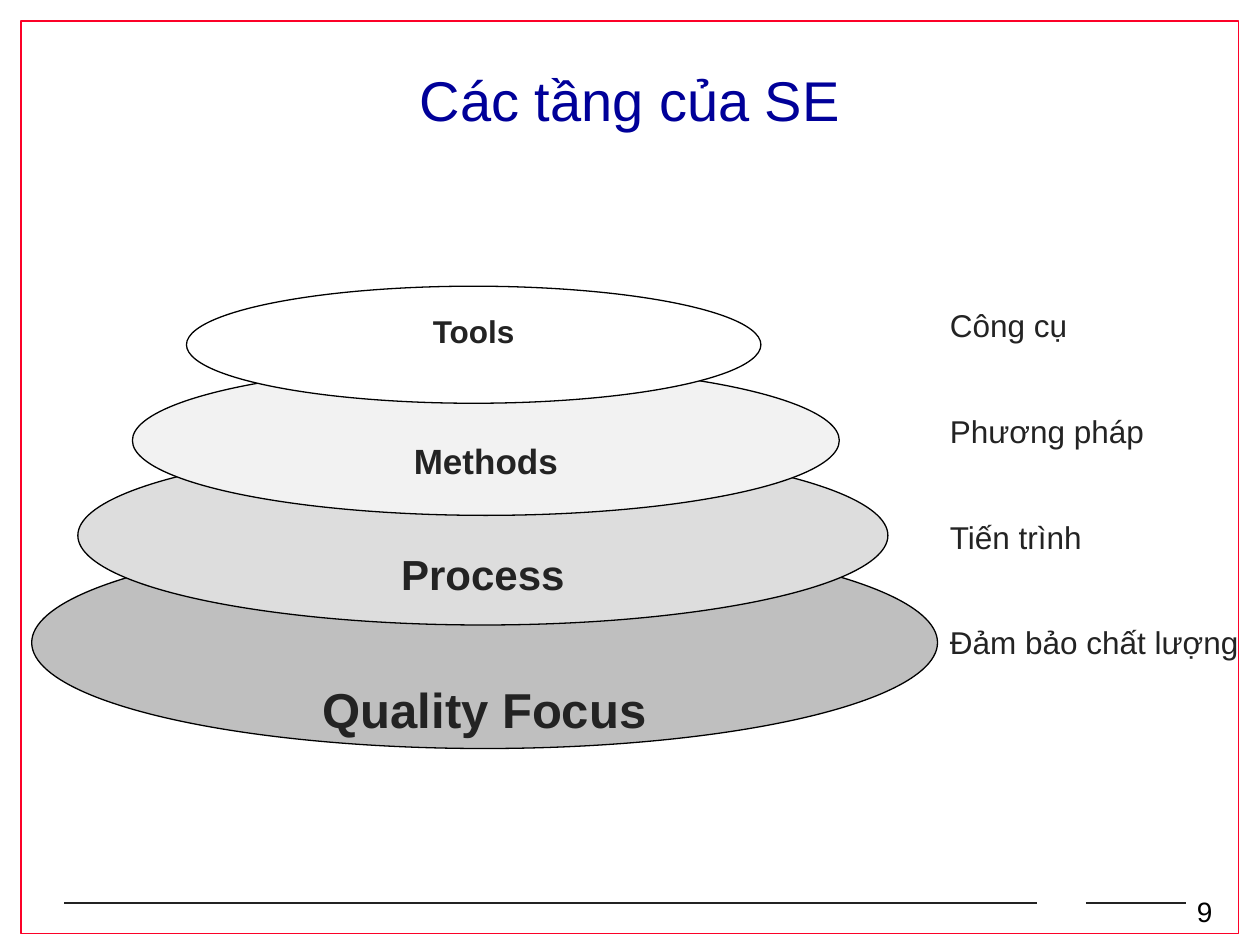
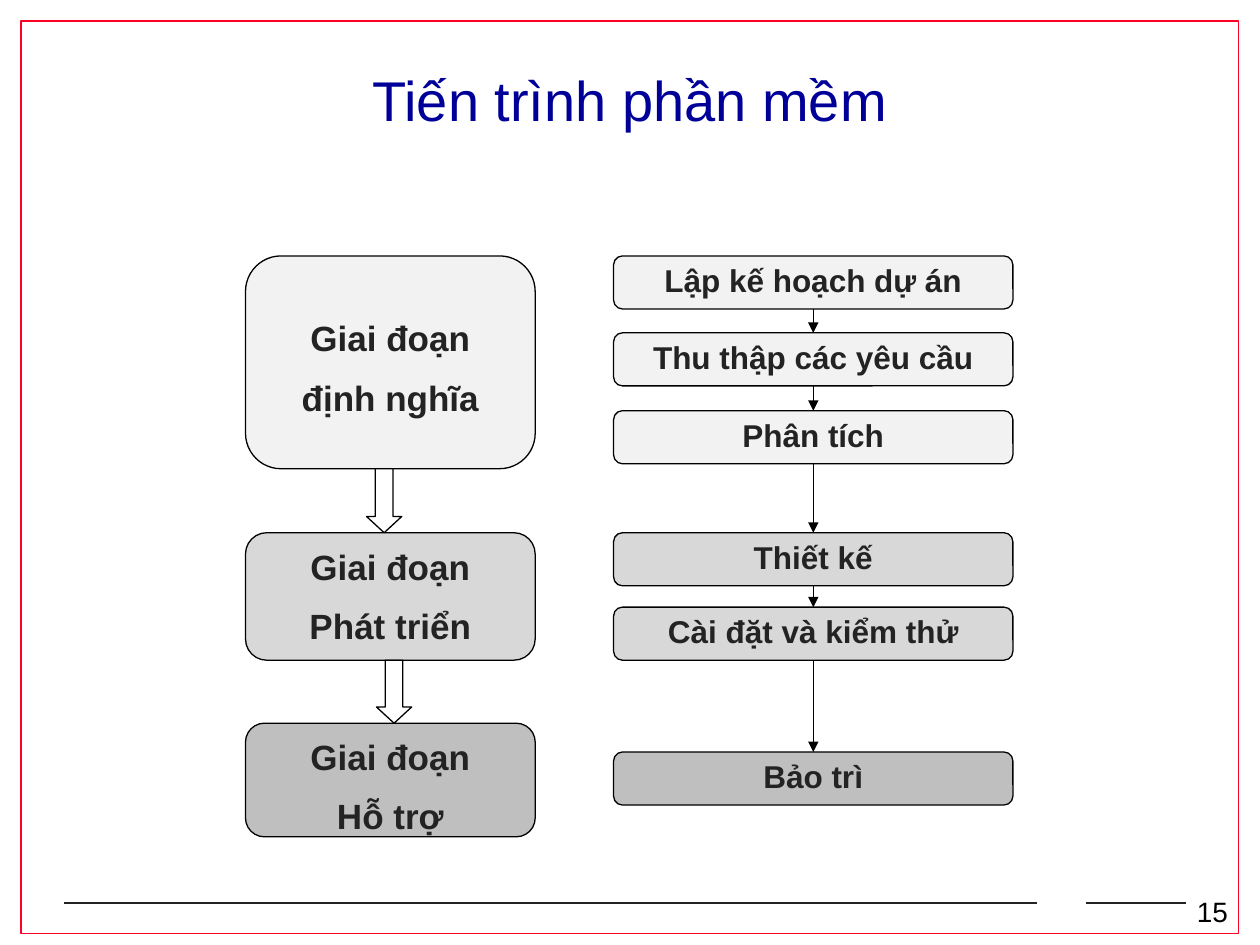
"""Build two slides on the layers and the process of software engineering."""
from itertools import pairwise

from lxml.etree import SubElement
from pptx import Presentation
from pptx.dml.color import RGBColor
from pptx.enum.shapes import MSO_CONNECTOR, MSO_SHAPE
from pptx.enum.text import MSO_ANCHOR, PP_ALIGN
from pptx.oxml.ns import qn
from pptx.util import Cm, Pt

FONT = "Arial"
INK, BLACK, WHITE = "232323", "000000", "FFFFFF"
NAVY, RED = "000099", "FC0128"
PALE, LIGHT, MID, DARK = "F2F2F2", "DDDDDD", "D8D8D8", "BFBFBF"
rgb = RGBColor.from_string


def add_box(s, kind, x, y, w, h, fill, line=BLACK, weight=0.75, lines=(), size=18, top=0.13, side=0.25):
    """Add an outlined shape with optional bold centred lines of text."""
    sp = s.shapes.add_shape(kind, Cm(x), Cm(y), Cm(w), Cm(h))
    sp.shadow.inherit = False
    if fill:
        sp.fill.solid()
        sp.fill.fore_color.rgb = rgb(fill)
    else:
        sp.fill.background()
    sp.line.color.rgb = rgb(line)
    sp.line.width = Pt(weight)
    tf = sp.text_frame
    tf.word_wrap = True
    tf.vertical_anchor = MSO_ANCHOR.TOP
    tf.margin_left = tf.margin_right = Cm(side)
    tf.margin_top, tf.margin_bottom = Cm(top), Cm(0)
    for i, text in enumerate(lines):
        p = tf.add_paragraph() if i else tf.paragraphs[0]
        p.text = text
        p.alignment = PP_ALIGN.CENTER
        p.space_after = Pt(10)
        p.font.name, p.font.size, p.font.bold = FONT, Pt(size), True
        p.font.color.rgb = rgb(INK)
    return sp


def add_line(s, x1, y1, x2, y2, color, weight, arrow=False):
    """Add a straight connector, with an arrowhead at its end if asked."""
    c = s.shapes.add_connector(MSO_CONNECTOR.STRAIGHT, Cm(x1), Cm(y1), Cm(x2), Cm(y2))
    c.line.color.rgb = rgb(color)
    c.line.width = Pt(weight)
    if arrow:
        SubElement(c.line._get_or_add_ln(), qn("a:tailEnd"), type="triangle")
    SubElement(c._element.spPr, qn("a:effectLst"))
    return c


prs = Presentation()
prs.slide_width, prs.slide_height = Cm(25.4), Cm(19.05)

slides = []
for title, number in (("Các tầng của SE", 9), ("Tiến trình phần mềm", 15)):
    s = prs.slides.add_slide(prs.slide_layouts[5])
    slides.append(s)

    add_box(s, MSO_SHAPE.RECTANGLE, 0.43, 0.43, 24.54, 18.39, None, RED, 1)
    for x1, x2 in ((1.3, 20.9), (21.89, 23.9)):
        add_line(s, x1, 18.21, x2, 18.21, INK, 1)

    sp = s.shapes.add_textbox(Cm(23.88), Cm(17.91), Cm(1.3), Cm(0.91))
    p = sp.text_frame.paragraphs[0]
    p.text = str(number)
    p.font.name, p.font.size = FONT, Pt(16)
    p.font.color.rgb = rgb(BLACK)

    sp = s.shapes.title
    sp.left, sp.top, sp.width, sp.height = Cm(1.9), Cm(1.27), Cm(21.6), Cm(1.47)
    sp.text_frame.text = title
    sp.text_frame.vertical_anchor = MSO_ANCHOR.MIDDLE
    p = sp.text_frame.paragraphs[0]
    p.alignment = PP_ALIGN.CENTER
    p.font.name, p.font.size = FONT, Pt(32)
    p.font.color.rgb = rgb(NAVY)

layers, process = slides

for name, x, y, w, h, fill, size, top in (
    ("Quality Focus", 0.64, 10.82, 18.26, 4.27, DARK, 28, 2.25),
    ("Process", 1.57, 8.99, 16.33, 3.61, LIGHT, 24, 1.53),
    ("Methods", 2.67, 7.37, 14.25, 3.02, PALE, 20, 1.04),
    ("Tools", 3.76, 5.77, 11.58, 2.36, WHITE, 18, 0.18),
):
    add_box(layers, MSO_SHAPE.OVAL, x, y, w, h, fill, lines=[name], size=size, top=top)

for i, label in enumerate(("Công cụ", "Phương pháp", "Tiến trình", "Đảm bảo chất lượng")):
    sp = layers.shapes.add_textbox(Cm(18.9), Cm(6.05 + 2.13 * i), Cm(6.5), Cm(1.02))
    sp.text_frame.word_wrap = True
    p = sp.text_frame.paragraphs[0]
    p.text = label
    p.font.name, p.font.size = FONT, Pt(18)
    p.font.color.rgb = rgb(INK)

phases = (
    ("định nghĩa", 5.16, 4.29, PALE, 1.02),
    ("Phát triển", 10.74, 2.57, MID, 0.13),
    ("Hỗ trợ", 14.58, 2.29, DARK, 0.13),
)
for name, y, h, fill, top in phases:
    add_box(process, MSO_SHAPE.ROUNDED_RECTANGLE, 4.95, y, 5.84, h, fill,
            lines=["Giai đoạn", name], size=20, top=top)

for x, (upper, lower) in zip((7.39, 7.59), pairwise(phases)):
    y = upper[1] + upper[2]
    sp = add_box(process, MSO_SHAPE.DOWN_ARROW, x, y, 0.71, lower[1] - y, WHITE)
    sp.adjustments[1] = 0.46

steps = []
for name, y, fill in (
    ("Lập kế hoạch dự án", 5.16, PALE),
    ("Thu thập các yêu cầu", 6.71, PALE),
    ("Phân tích", 8.28, PALE),
    ("Thiết kế", 10.74, MID),
    ("Cài đặt và kiểm thử", 12.24, MID),
    ("Bảo trì", 15.16, DARK),
):
    steps.append(add_box(process, MSO_SHAPE.ROUNDED_RECTANGLE, 12.37, y, 8.05, 1.07, fill,
                         lines=[name], top=0.05, side=0.15))

for upper, lower in pairwise(steps):
    c = add_line(process, 16.4, 0, 16.4, 1, BLACK, 0.75, arrow=True)
    c.begin_connect(upper, 2)
    c.end_connect(lower, 0)

prs.save("out.pptx")
